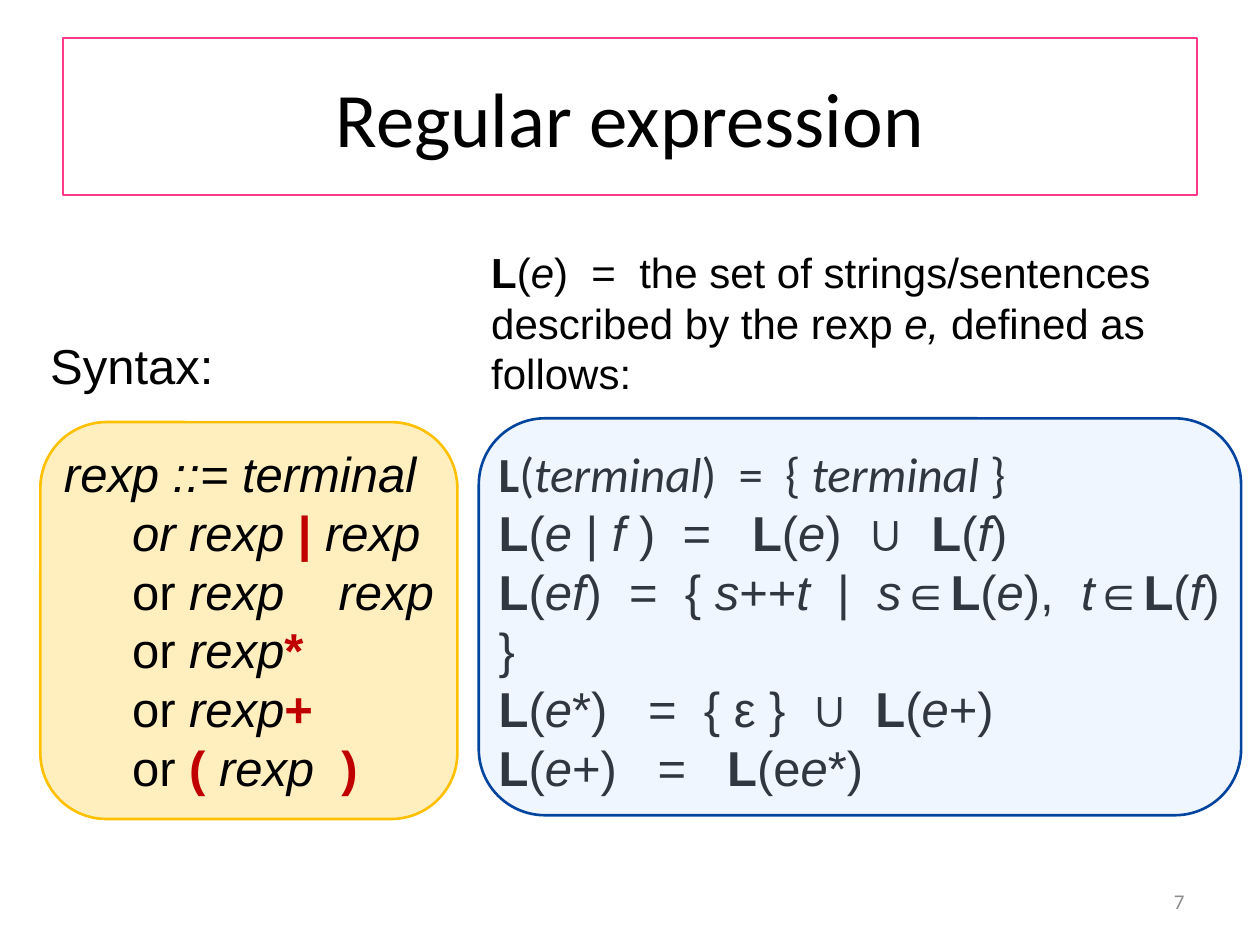
from lxml import etree
from pptx import Presentation
from pptx import util as u
from pptx.dml import color
from pptx.enum import shapes, text
from pptx.oxml import ns

BLACK = "000000"
SYNTAX = [
    "_rexp ::= terminal_",
    "\t_or rexp_ #|# _rexp_",
    "\tor _rexp\trexp_",
    "\tor _rexp_#*#",
    "\tor _rexp_#+#",
    "\tor #(# _rexp_  #)#",
]
LANGUAGE = [
    "#L#(_e_ | _f_ )  =   #L#(_e_)  ∪  #L#(_f_)",
    "#L#(_ef_)  =  { _s_++_t_  |  _s_∈#L#(_e_),  _t_∈#L#(_f_) }",
    "#L#(_e_*)   =  { ε }  ∪  #L#(_e_+)",
    "#L#(_e_+)   =   #L#(e_e_*)",
]


def rgb(value):
    return color.RGBColor.from_string(value)


def add_runs(p, line, size, font="Arial", ink=BLACK, accent=BLACK):
    for k, segment in enumerate(line.split("#")):
        for j, piece in enumerate(segment.split("_")):
            if piece:
                r = p.add_run()
                r.text = piece
                bold = k % 2 == 1
                values = {"size": u.Pt(size), "name": font,
                          "bold": bold, "italic": j % 2 == 1}
                for name, value in values.items():
                    setattr(r.font, name, value)
                r.font.color.rgb = rgb(accent if bold else ink)


def add_text(s, box, lines, size, wrap=True, **style):
    sp = s.shapes.add_textbox(*map(u.Inches, box))
    tf = sp.text_frame
    tf.word_wrap = wrap
    for i, line in enumerate(lines):
        p = tf.add_paragraph() if i else tf.paragraphs[0]
        add_runs(p, line, size, **style)
    return tf


def set_tabs(p, stops):
    tabs = etree.SubElement(p._p.get_or_add_pPr(), ns.qn("a:tabLst"))
    for stop in stops:
        etree.SubElement(tabs, ns.qn("a:tab"), pos=str(u.Inches(stop)), algn="l")


def add_panel(s, box, fill, line):
    sp = s.shapes.add_shape(shapes.MSO_SHAPE.ROUNDED_RECTANGLE, *map(u.Inches, box))
    sp.shadow.inherit = False
    sp.fill.solid()
    sp.fill.fore_color.rgb = rgb(fill)
    clr = sp.fill._xPr.find(".//" + ns.qn("a:srgbClr"))
    etree.SubElement(clr, ns.qn("a:alpha"), val="25000")
    sp.line.color.rgb = rgb(line)
    sp.line.width = u.Pt(1.5)


def set_title(s, box, title):
    sp = s.shapes.title
    for name, value in zip(("left", "top", "width", "height"), box):
        setattr(sp, name, u.Inches(value))
    sp.line.color.rgb = rgb("FF388C")
    sp.line.width = u.Pt(1)
    tf = sp.text_frame
    tf.vertical_anchor = text.MSO_ANCHOR.MIDDLE
    tf.paragraphs[0].alignment = text.PP_ALIGN.CENTER
    add_runs(tf.paragraphs[0], title, 44, "Calibri")


def main():
    prs = Presentation()
    prs.slide_width, prs.slide_height = u.Inches(10), u.Inches(7.5)
    s = prs.slides.add_slide(prs.slide_layouts[5])
    set_title(s, (0.5, 0.3, 9, 1.25), "Regular expression")

    number = add_text(s, (7.17, 6.95, 2.33, 0.4), ["7"], 12, font="Calibri", ink="8C8C8C")
    number.vertical_anchor = text.MSO_ANCHOR.MIDDLE
    number.paragraphs[0].alignment = text.PP_ALIGN.RIGHT

    add_panel(s, (0.32, 3.35, 3.31, 3.15), "FFC000", "FFC000")
    syntax = add_text(s, (0.3, 3.47, 3.27, 2.93), SYNTAX, 28, wrap=False, accent="C00000")
    first, *rest = syntax.paragraphs
    first._p.get_or_add_pPr().set("marL", str(u.Inches(0.11)))
    for p in rest:
        set_tabs(p, (0.65, 2.29))

    rules = add_text(s, (3.86, 3.47, 6, 2.93),
                     ["#L#(_terminal_)  =  { _terminal_ }"], 28, font="Calibri")
    for line in LANGUAGE:
        add_runs(rules.add_paragraph(), line, 28)
    add_panel(s, (3.8, 3.32, 6.05, 3.15), "C3DDFF", "00449E")

    add_text(s, (0.3, 2.61, 1.51, 0.57), ["Syntax:"], 28, wrap=False)
    add_text(s, (3.8, 1.91, 5.92, 1.31),
             ["#L#(_e_)  =  the set of strings/sentences described by the rexp "
              "_e,_ defined as follows:"], 24)
    prs.save("out.pptx")


if __name__ == "__main__":
    main()
